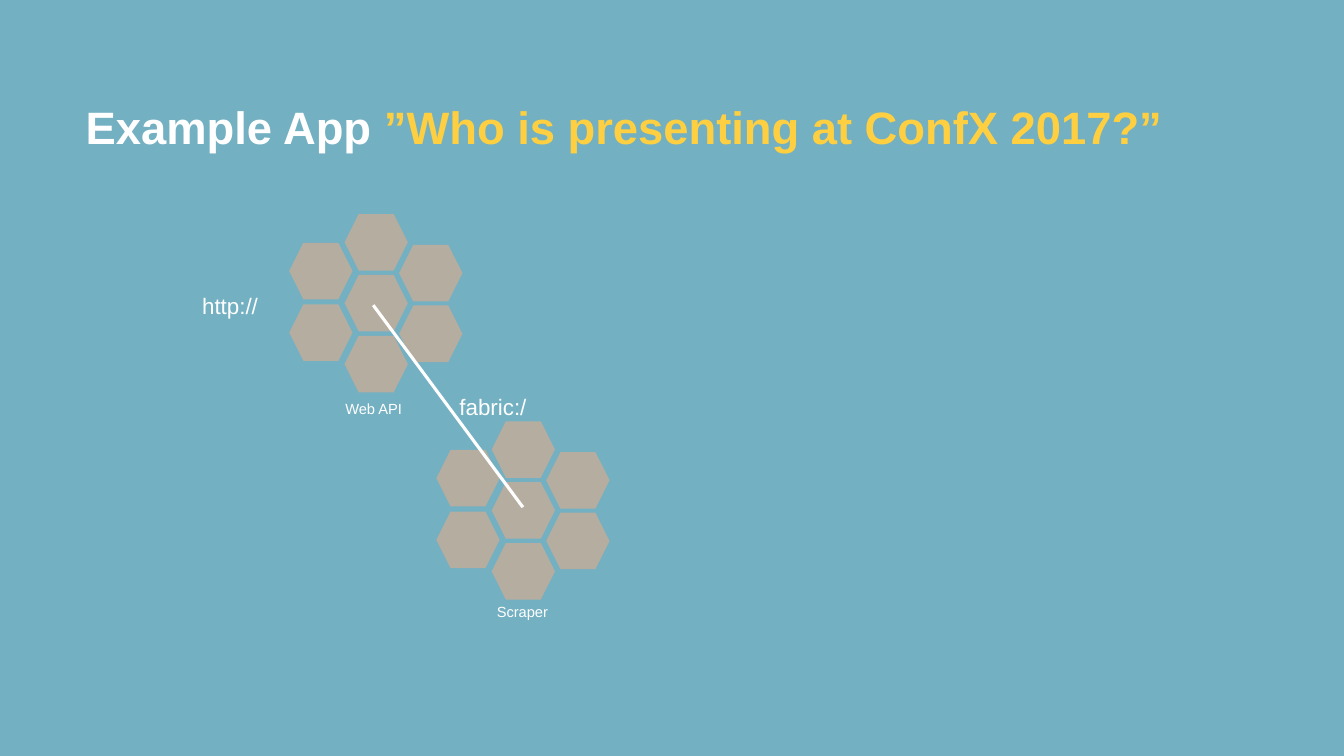
from dataclasses import dataclass

from lxml import etree
from pptx import Presentation
from pptx import util as u
from pptx.dml.color import RGBColor
from pptx.enum import shapes, text
from pptx.oxml import ns


@dataclass(frozen=True)
class Theme:
    font: str = "Arial"
    background: str = "73B0C2"
    white: str = "FFFFFF"
    accent: str = "FECF41"
    cell: str = "B5ADA0"
    title: float = 32.4
    protocol: float = 16
    caption: float = 10.5
    line: float = 2.25


CELL_W, CELL_H = 45.2, 40.4
CELL_OFFSETS = [(0, 43.5), (-39.5, 21), (0, 0), (39, 21.8),
                (-39.5, -23), (0, -43.5), (39, -21.5)]
CLUSTERS = [(246.1, 196.4), (351.2, 344.4)]


class SlideBuilder:
    def __init__(self, slide, theme):
        self.slide = slide
        self.theme = theme
        fill = slide.background.fill
        fill.solid()
        fill.fore_color.rgb = RGBColor.from_string(theme.background)

    def textbox(self, box, runs, size, bold=False):
        sp = self.slide.shapes.add_textbox(*map(u.Pt, box))
        tf = sp.text_frame
        tf.word_wrap = False
        p = tf.paragraphs[0]
        for words, color in runs:
            r = p.add_run()
            r.text = words
            r.font.name = self.theme.font
            r.font.size = u.Pt(size)
            r.font.bold = bold
            r.font.color.rgb = RGBColor.from_string(color)
        return tf

    def title(self, box, runs):
        tf = self.textbox(box, runs, self.theme.title, bold=True)
        tf.word_wrap = True
        tf.vertical_anchor = text.MSO_ANCHOR.BOTTOM
        tf.margin_left = 0
        tf.paragraphs[0].line_spacing = 0.9

    def label(self, box, words, size):
        tf = self.textbox(box, [(words, self.theme.white)], size)
        tf.auto_size = text.MSO_AUTO_SIZE.SHAPE_TO_FIT_TEXT

    def hexagon(self, left, top):
        sp = self.slide.shapes.add_shape(
            shapes.MSO_SHAPE.HEXAGON, *map(u.Pt, (left, top, CELL_W, CELL_H)))
        sp.shadow.inherit = False
        sp.fill.solid()
        sp.fill.fore_color.rgb = RGBColor.from_string(self.theme.cell)
        sp.line.fill.background()

    def cluster(self, left, top):
        for dx, dy in CELL_OFFSETS:
            self.hexagon(left + dx, top + dy)

    def line(self, start, end):
        cxn = self.slide.shapes.add_connector(
            shapes.MSO_CONNECTOR.STRAIGHT, *map(u.Pt, start + end))
        cxn.line.color.rgb = RGBColor.from_string(self.theme.white)
        cxn.line.width = u.Pt(self.theme.line)
        etree.SubElement(cxn._element.spPr, ns.qn("a:effectLst"))


def main():
    prs = Presentation()
    prs.slide_width, prs.slide_height = u.Pt(960), u.Pt(540)
    theme = Theme()
    s = SlideBuilder(prs.slides.add_slide(prs.slide_layouts[6]), theme)

    s.title((61.2, 50.4, 838.8, 63.4),
            [("Example App ", theme.white),
             ("”Who is presenting at ConfX 2017?”", theme.accent)])
    for left, top in CLUSTERS:
        s.cluster(left, top)
    s.label((239.6, 282.2, 58.3, 20.6), "Web API", theme.caption)
    s.label((347.8, 427, 51.8, 20.2), "Scraper", theme.caption)
    s.line((266.6, 218), (373.5, 362.3))
    s.label((321.1, 277.2, 63.4, 26.6), "fabric:/", theme.protocol)
    s.label((137.3, 205.2, 55.4, 26.6), "http://", theme.protocol)

    prs.save("out.pptx")


if __name__ == "__main__":
    main()
